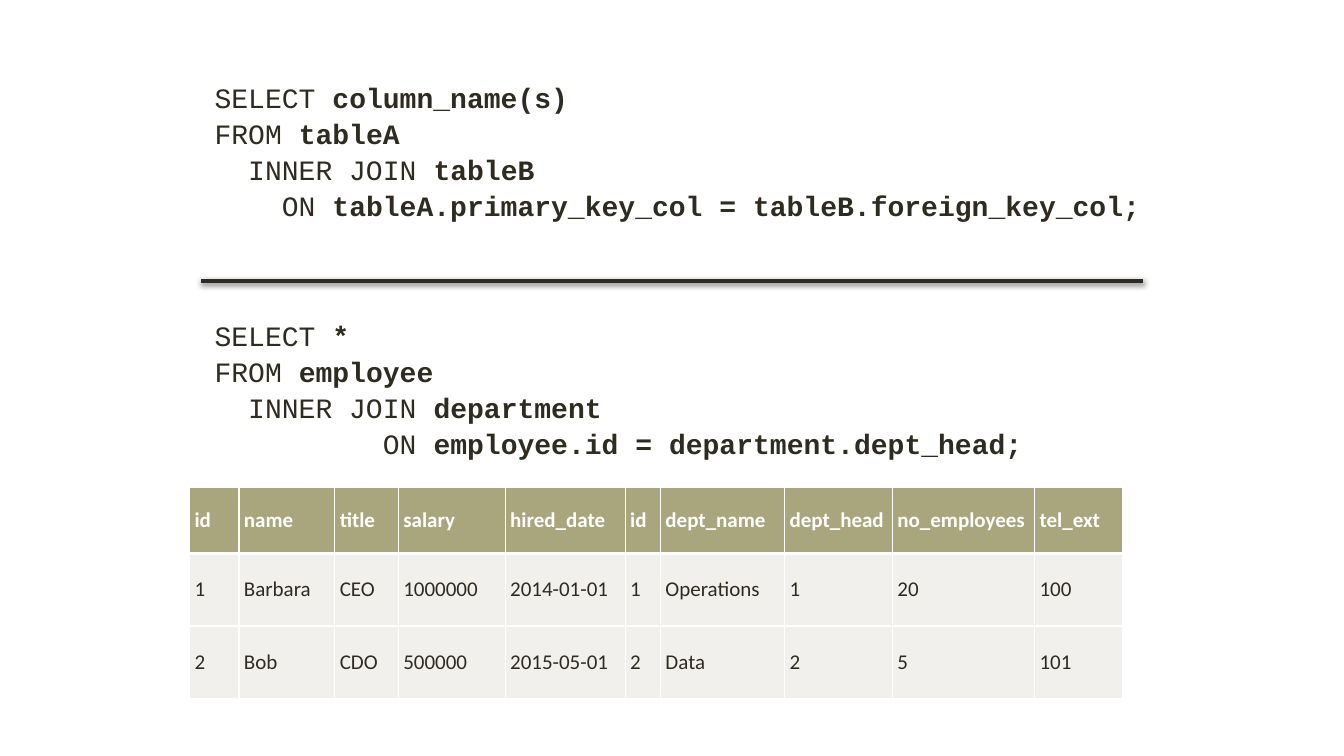
from dataclasses import dataclass

from pptx import Presentation
from pptx.dml.color import RGBColor
from pptx.enum.shapes import MSO_CONNECTOR as Connector
from pptx.enum.text import MSO_ANCHOR as Anchor
from pptx.oxml import parse_xml
from pptx.oxml.ns import nsdecls
from pptx.util import Inches, Length, Pt

SLIDE_WIDTH, SLIDE_HEIGHT = Inches(13.33), Inches(7.5)
INK, WHITE, OLIVE, PALE, BULLET = "2E2B21", "FFFFFF", "A9A57C", "F1F0EC", "9CBEBD"

# Shared left edge and width of the queries and the divider, in percent
LEFT, WIDTH = 14.93, 70.14


@dataclass
class Query:
    top: float
    lines: list[tuple[str, str]]  # keyword part, bold part


@dataclass
class Column:
    width: float
    heading: str
    values: tuple[str, str]


QUERIES = [
    Query(11.2, [
        ("SELECT ", "column_name(s)"),
        ("FROM ", "tableA"),
        ("  INNER JOIN ", "tableB"),
        ("    ON ", "tableA.primary_key_col = tableB.foreign_key_col;"),
    ]),
    Query(42.67, [
        ("SELECT ", "*"),
        ("FROM ", "employee"),
        ("  INNER JOIN ", "department"),
        ("          ON ", "employee.id = department.dept_head;"),
    ]),
]

COLUMNS = [
    Column(3.68, "id", ("1", "2")),
    Column(7.13, "name", ("Barbara", "Bob")),
    Column(4.73, "title", ("CEO", "CDO")),
    Column(7.95, "salary", ("1000000", "500000")),
    Column(8.93, "hired_date", ("2014-01-01", "2015-05-01")),
    Column(2.63, "id", ("1", "2")),
    Column(9.23, "dept_name", ("Operations", "Data")),
    Column(8.03, "dept_head", ("1", "2")),
    Column(10.58, "no_employees", ("20", "5")),
    Column(6.53, "tel_ext", ("100", "101")),
]
ROW_HEIGHTS = [8.67, 9.6, 9.6]


def across(percent: float) -> Length:
    return Length(round(SLIDE_WIDTH * percent / 100))


def down(percent: float) -> Length:
    return Length(round(SLIDE_HEIGHT * percent / 100))


def color(value: str) -> RGBColor:
    return RGBColor.from_string(value)


def style(font, name: str, size: float, ink: str, bold: bool) -> None:
    font.name, font.size, font.bold = name, Pt(size), bold
    font.color.rgb = color(ink)


def add_query(page, query: Query) -> None:
    box = page.shapes.add_textbox(across(LEFT), down(query.top), across(WIDTH), down(21.47))
    frame = box.text_frame
    frame.word_wrap = True
    frame.margin_left = frame.margin_top = frame.margin_right = frame.margin_bottom = 0
    for index, parts in enumerate(query.lines):
        para = frame.add_paragraph() if index else frame.paragraphs[0]
        # Hanging indent with a blank bullet
        props = para._p.get_or_add_pPr()
        props.set("marL", str(Inches(0.1)))
        props.set("indent", str(-Inches(0.1)))
        props.append(parse_xml(
            f'<a:buClr {nsdecls("a")}><a:srgbClr val="{BULLET}"/></a:buClr>'))
        props.append(parse_xml(f'<a:buChar {nsdecls("a")} char=" "/>'))
        para.line_spacing = 0.9
        para.space_before = Pt(2 if index else 0)
        para.space_after = Pt(2)
        for part, bold in zip(parts, (False, True)):
            span = para.add_run()
            span.text = part
            style(span.font, "Courier New", 20, INK, bold)


def add_borders(cell, bottom: float) -> None:
    props = cell._tc.get_or_add_tcPr()
    widths = {"lnL": 1, "lnR": 1, "lnT": 1, "lnB": bottom}
    for position, (side, width) in enumerate(widths.items()):
        props.insert(position, parse_xml(
            f'<a:{side} {nsdecls("a")} w="{Pt(width)}"><a:solidFill>'
            f'<a:srgbClr val="{WHITE}"/></a:solidFill></a:{side}>'))


def add_result(page) -> None:
    total_width = sum(column.width for column in COLUMNS)
    table = page.shapes.add_table(
        len(ROW_HEIGHTS), len(COLUMNS), across(14.1), down(64.53),
        across(total_width), down(sum(ROW_HEIGHTS))).table
    for row, height in zip(table.rows, ROW_HEIGHTS):
        row.height = down(height)
    for x, column in enumerate(COLUMNS):
        table.columns[x].width = across(column.width)
        for y, text in enumerate((column.heading, *column.values)):
            header = y == 0
            cell = table.cell(y, x)
            cell.text_frame.text = text
            cell.vertical_anchor = Anchor.MIDDLE
            cell.margin_left = cell.margin_right = Inches(0.05)
            cell.margin_top = cell.margin_bottom = Inches(0.05)
            cell.fill.solid()
            cell.fill.fore_color.rgb = color(OLIVE if header else PALE)
            add_borders(cell, 3 if header else 1)
            span = cell.text_frame.paragraphs[0].runs[0]
            style(span.font, "Calibri", 15, WHITE if header else INK, header)


def add_divider(page) -> None:
    line = page.shapes.add_connector(
        Connector.STRAIGHT, across(LEFT), down(37.2), across(LEFT + WIDTH), down(37.2))
    line.line.color.rgb = color(INK)
    line.line.width = Pt(3)
    # Soft shadow straight below the line
    line._element.spPr.append(parse_xml(
        f'<a:effectLst {nsdecls("a")}><a:outerShdw blurRad="{Pt(4)}" dist="{Pt(1)}" '
        'dir="5400000" rotWithShape="0"><a:srgbClr val="000000">'
        '<a:alpha val="50000"/></a:srgbClr></a:outerShdw></a:effectLst>'))


def main() -> None:
    deck = Presentation()
    deck.slide_width, deck.slide_height = SLIDE_WIDTH, SLIDE_HEIGHT
    page = deck.slides.add_slide(deck.slide_layouts[6])
    for query in QUERIES:
        add_query(page, query)
    add_result(page)
    add_divider(page)
    deck.save("out.pptx")


if __name__ == "__main__":
    main()
